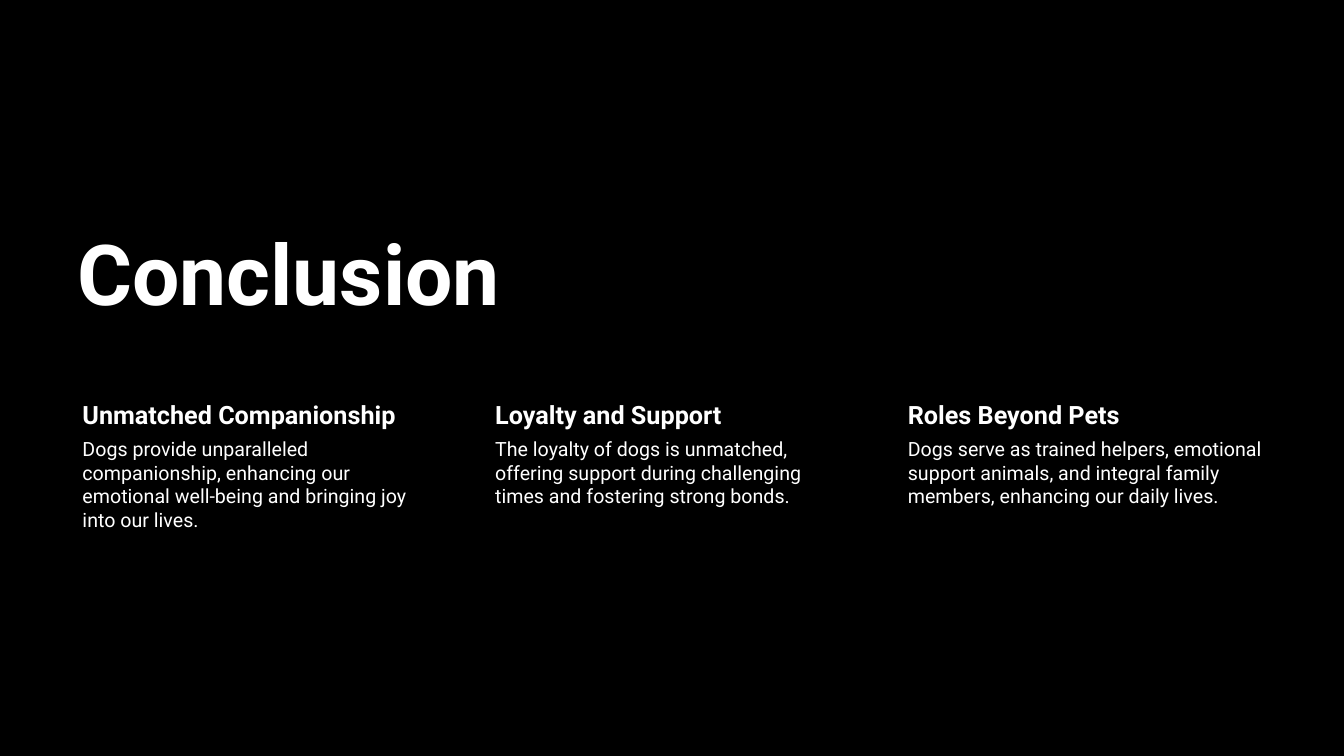
from dataclasses import dataclass

import pptx
import pptx.dml.color
import pptx.enum.text
import pptx.util
from pptx.util import Cm


@dataclass(frozen=True)
class Theme:
    font: str = "Roboto"
    background: str = "000000"
    text: str = "FFFFFF"
    title_size: int = 60
    heading_size: int = 18
    body_size: int = 14


THEME = Theme()

LEFT = 1.7
COLUMN_WIDTH = 9.45
COLUMN_PITCH = 10.4
HEADING_TOP, HEADING_HEIGHT = 9.98, 0.99
BODY_HEIGHT = 5.92

TAKEAWAYS = [
    ("Unmatched Companionship",
     "Dogs provide unparalleled companionship, enhancing our emotional "
     "well-being and bringing joy into our lives."),
    ("Loyalty and Support",
     "The loyalty of dogs is unmatched, offering support during challenging "
     "times and fostering strong bonds."),
    ("Roles Beyond Pets",
     "Dogs serve as trained helpers, emotional support animals, and integral "
     "family members, enhancing our daily lives."),
]


def rgb(value):
    return pptx.dml.color.RGBColor.from_string(value)


def add_text(shapes, text, left, top, width, height, size, bold=False,
             insets=(0.25, 0.13, 0.25, 0.13)):
    """Add a one-paragraph text box; lengths in cm, insets left, top, right, bottom."""
    sp = shapes.add_textbox(Cm(left), Cm(top), Cm(width), Cm(height))
    tf = sp.text_frame
    tf.word_wrap = True
    tf.margin_left, tf.margin_top, tf.margin_right, tf.margin_bottom = map(Cm, insets)
    p = tf.paragraphs[0]
    p.text = text
    p.font.name = THEME.font
    p.font.size = pptx.util.Pt(size)
    p.font.bold = bold
    p.font.color.rgb = rgb(THEME.text)
    return sp


def add_title(s, text):
    sp = add_text(s.shapes, text, LEFT, 5.13, 20.4, 3.15, THEME.title_size, bold=True)
    sp.text_frame.vertical_anchor = pptx.enum.text.MSO_ANCHOR.BOTTOM
    sp.text_frame.paragraphs[0].line_spacing = 0.9


def add_takeaway(shapes, left, heading, body):
    add_text(shapes, heading, left, HEADING_TOP, COLUMN_WIDTH, HEADING_HEIGHT,
             THEME.heading_size, bold=True, insets=(0.38, 0.08, 0.08, 0.08))
    add_text(shapes, body, left, HEADING_TOP + HEADING_HEIGHT, COLUMN_WIDTH, BODY_HEIGHT,
             THEME.body_size, insets=(0.38, 0.05, 0.05, 0.05))


def main():
    prs = pptx.Presentation()
    prs.slide_width, prs.slide_height = Cm(33.87), Cm(19.05)
    s = prs.slides.add_slide(prs.slide_layouts[6])
    s.background.fill.solid()
    s.background.fill.fore_color.rgb = rgb(THEME.background)

    add_title(s, "Conclusion")
    columns = s.shapes.add_group_shape()
    for i, (heading, body) in enumerate(TAKEAWAYS):
        add_takeaway(columns.shapes, LEFT + i * COLUMN_PITCH, heading, body)

    prs.save("out.pptx")


if __name__ == "__main__":
    main()
